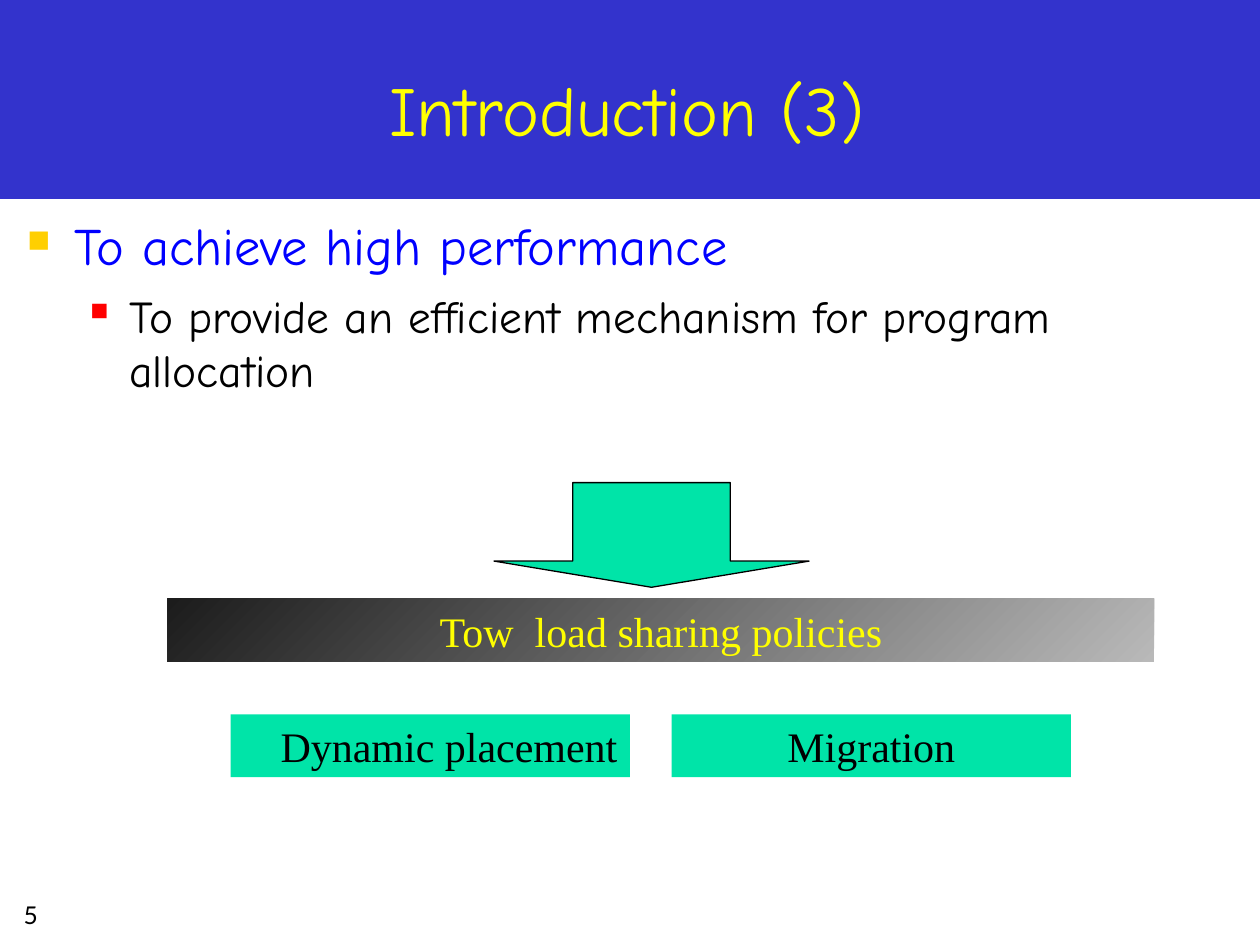
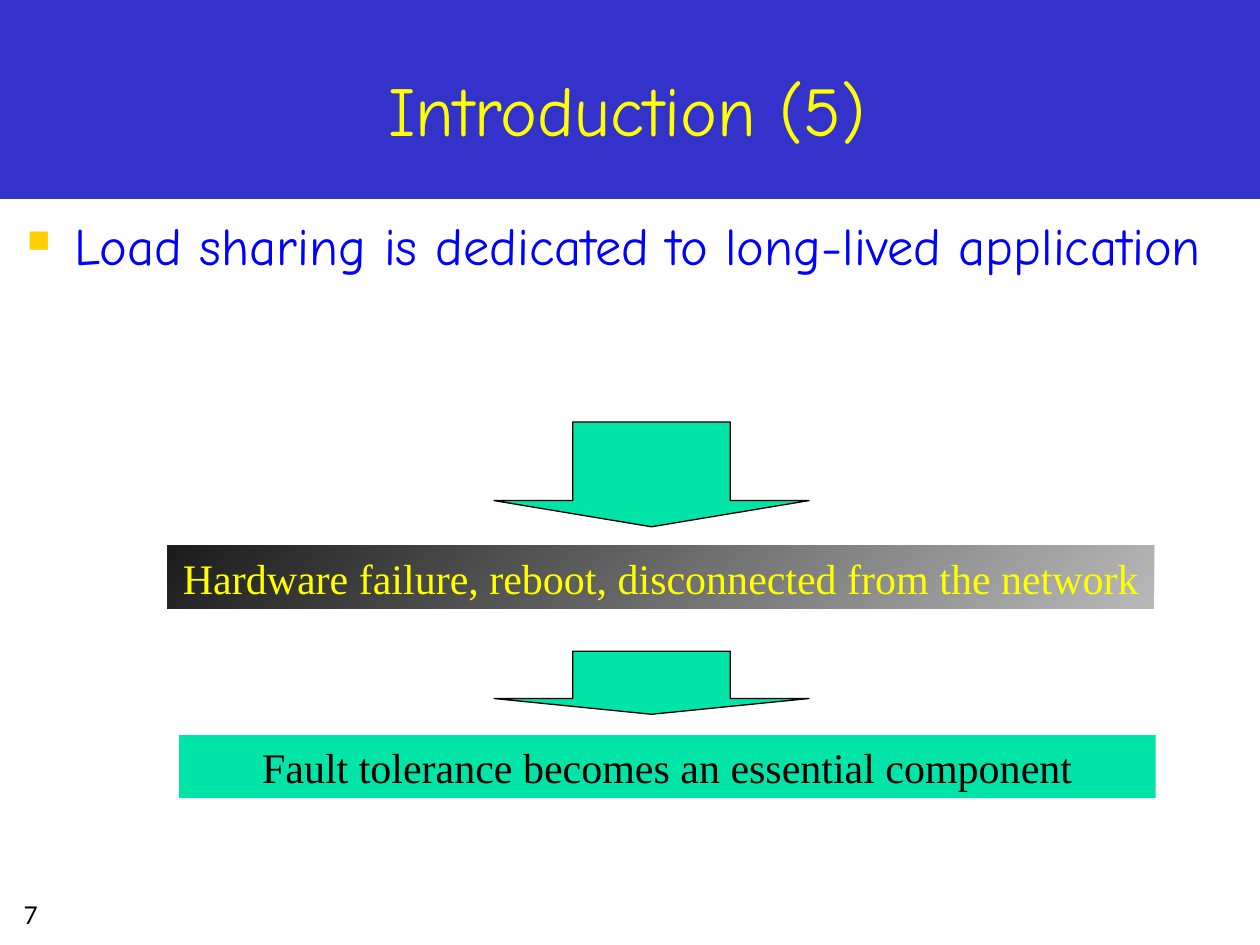
from lxml import etree
from pptx import Presentation
from pptx.dml.color import RGBColor
from pptx.enum.shapes import MSO_SHAPE as Preset
from pptx.enum.text import MSO_ANCHOR as Anchor, MSO_AUTO_SIZE as AutoSize, PP_ALIGN as Align
from pptx.oxml.ns import qn
from pptx.util import Cm, Pt

# Shared colours
BAND_BLUE = RGBColor(0x33, 0x33, 0xCC)
YELLOW = RGBColor(0xFF, 0xFF, 0x00)
BLUE = RGBColor(0x00, 0x00, 0xFF)
BLACK = RGBColor(0x00, 0x00, 0x00)
GREEN = RGBColor(0x00, 0xE4, 0xA8)
LIGHT_GREY = RGBColor(0xB9, 0xB9, 0xB9)
DARK_GREY = RGBColor(0x1C, 0x1C, 0x1C)
GOLD = RGBColor(0xFF, 0xCF, 0x01)
RED = RGBColor(0xFF, 0x00, 0x00)

# Shared text styles: font values and colour
TITLE_STYLE = ({"name": "Comic Neue", "size": Pt(40)}, YELLOW)
NUMBER_STYLE = ({"name": "Lato", "size": Pt(14)}, BLACK)
BANNER_STYLE = ({"name": "Times New Roman", "size": Pt(24)}, YELLOW)
LABEL_STYLE = ({"name": "Times New Roman", "size": Pt(24)}, BLACK)

# Bullet levels: text style, indent and hanging (cm), space before, bullet colour and size
LEVELS = [
    (({"name": "Comic Neue", "size": Pt(30)}, BLUE), 0.95, 0.95, 7.5, GOLD, 60),
    (({"name": "Comic Neue", "size": Pt(26)}, BLACK), 2.06, 0.79, 6.5, RED, 55),
]

# Boxes in cm: left, top, width, height
SLIDE_WIDTH, SLIDE_HEIGHT = 25.4, 19.05
TITLE_BAND = (0, 0, SLIDE_WIDTH, 4.01)
TITLE_BOX = (0.43, 0.43, 24.41, 2.74)
BODY_BOX = (0.3, 4.17, 24.54, 14.68)
NUMBER_BOX = (0, 18.01, 1.24, 0.94)
ROW_HEIGHT = 1.27
ARROW_LEFT, ARROW_WIDTH = 9.96, 6.35
BANNER_LEFT, BANNER_WIDTH = 3.38, 19.89


def apply_format(target, values):
    for name, value in values.items():
        setattr(target, name, value)


def lengths(box):
    return [Cm(value) for value in box]


def write(para, text, style, align=Align.CENTER):
    values, colour = style
    para.alignment = align
    span = para.add_run()
    span.text = text
    apply_format(span.font, values)
    span.font.color.rgb = colour


def set_frame(frame, anchor=Anchor.TOP, wrap=True):
    apply_format(frame, {
        "word_wrap": wrap, "auto_size": AutoSize.NONE, "vertical_anchor": anchor,
        "margin_left": Cm(0.25), "margin_right": Cm(0.25),
        "margin_top": Cm(0.13), "margin_bottom": Cm(0.13),
    })


def add_bullet(para, colour, percent):
    props = para._p.get_or_add_pPr()
    tint = etree.SubElement(props, qn("a:buClr"))
    etree.SubElement(tint, qn("a:srgbClr"), val=str(colour))
    etree.SubElement(props, qn("a:buSzPct"), val=str(percent * 1000))
    etree.SubElement(props, qn("a:buChar"), char="■")


def add_block(page, preset, box, colour=None):
    block = page.shapes.add_shape(preset, *lengths(box))
    block.shadow.inherit = False
    block.line.fill.background()
    if colour is not None:
        block.fill.solid()
        block.fill.fore_color.rgb = colour
    return block


def add_frame(deck, title, number):
    """Title band, title and slide number shared by every slide."""
    page = deck.slides.add_slide(deck.slide_layouts[5])
    heading = page.shapes.title
    band = add_block(page, Preset.RECTANGLE, TITLE_BAND, BAND_BLUE)
    heading._element.addprevious(band._element)

    apply_format(heading, dict(zip(("left", "top", "width", "height"), lengths(TITLE_BOX))))
    set_frame(heading.text_frame, Anchor.BOTTOM)
    write(heading.text_frame.paragraphs[0], title, TITLE_STYLE)

    frame = page.shapes.add_textbox(*lengths(NUMBER_BOX)).text_frame
    set_frame(frame, wrap=False)
    write(frame.paragraphs[0], number, NUMBER_STYLE)
    return page


def add_body(page, items):
    """Bulleted list of (level, text) items."""
    frame = page.shapes.add_textbox(*lengths(BODY_BOX)).text_frame
    set_frame(frame)
    for index, (level, text) in enumerate(items):
        style, indent, hanging, space, colour, percent = LEVELS[level]
        para = frame.add_paragraph() if index else frame.paragraphs[0]
        props = para._p.get_or_add_pPr()
        props.set("marL", str(Cm(indent)))
        props.set("indent", str(-Cm(hanging)))
        add_bullet(para, colour, percent)
        apply_format(para, {"level": level, "space_before": Pt(space if index else 0)})
        write(para, text, style, Align.LEFT)


def add_arrow(page, top, height):
    arrow = add_block(page, Preset.DOWN_ARROW, (ARROW_LEFT, top, ARROW_WIDTH, height), GREEN)
    arrow.adjustments[0], arrow.adjustments[1] = 0.5, 0.25
    arrow.line.color.rgb = BLACK
    arrow.line.width = Pt(0.75)


def add_banner(page, top, text):
    """Grey gradient bar with yellow text."""
    banner = add_block(page, Preset.RECTANGLE, (BANNER_LEFT, top, BANNER_WIDTH, ROW_HEIGHT))
    banner.fill.gradient()
    banner.fill.gradient_angle = 135
    for stop, colour in zip(banner.fill.gradient_stops, (LIGHT_GREY, DARK_GREY)):
        stop.color.rgb = colour
    set_frame(banner.text_frame)
    write(banner.text_frame.paragraphs[0], text, BANNER_STYLE)


def add_label(page, left, top, width, text, align=Align.CENTER):
    """Green bar with black text."""
    label = add_block(page, Preset.RECTANGLE, (left, top, width, ROW_HEIGHT), GREEN)
    set_frame(label.text_frame)
    write(label.text_frame.paragraphs[0], text, LABEL_STYLE, align)


def build_policies(deck):
    page = add_frame(deck, "Introduction (3)", "5")
    add_body(page, [
        (0, "To achieve high performance"),
        (1, "To provide an efficient mechanism for program allocation"),
    ])
    add_banner(page, 12.07, "Tow  load sharing policies")
    add_arrow(page, 9.73, 2.11)
    policies = [("Dynamic placement", Align.RIGHT), ("Migration", Align.CENTER)]
    width, gap = 8.05, 0.84
    for index, (text, align) in enumerate(policies):
        add_label(page, 4.65 + index * (width + gap), 14.4, width, text, align)


def build_fault_tolerance(deck):
    page = add_frame(deck, "Introduction (5)", "7")
    add_body(page, [(0, "Load sharing is dedicated to long-lived application")])
    add_arrow(page, 8.51, 2.11)
    add_banner(page, 11, "Hardware failure, reboot, disconnected from the network")
    add_arrow(page, 13.13, ROW_HEIGHT)
    add_label(page, 3.61, 14.82, 19.69, "Fault tolerance becomes an essential component")


def main():
    deck = Presentation()
    apply_format(deck, {"slide_width": Cm(SLIDE_WIDTH), "slide_height": Cm(SLIDE_HEIGHT)})
    build_policies(deck)
    build_fault_tolerance(deck)
    deck.save("out.pptx")


if __name__ == "__main__":
    main()
